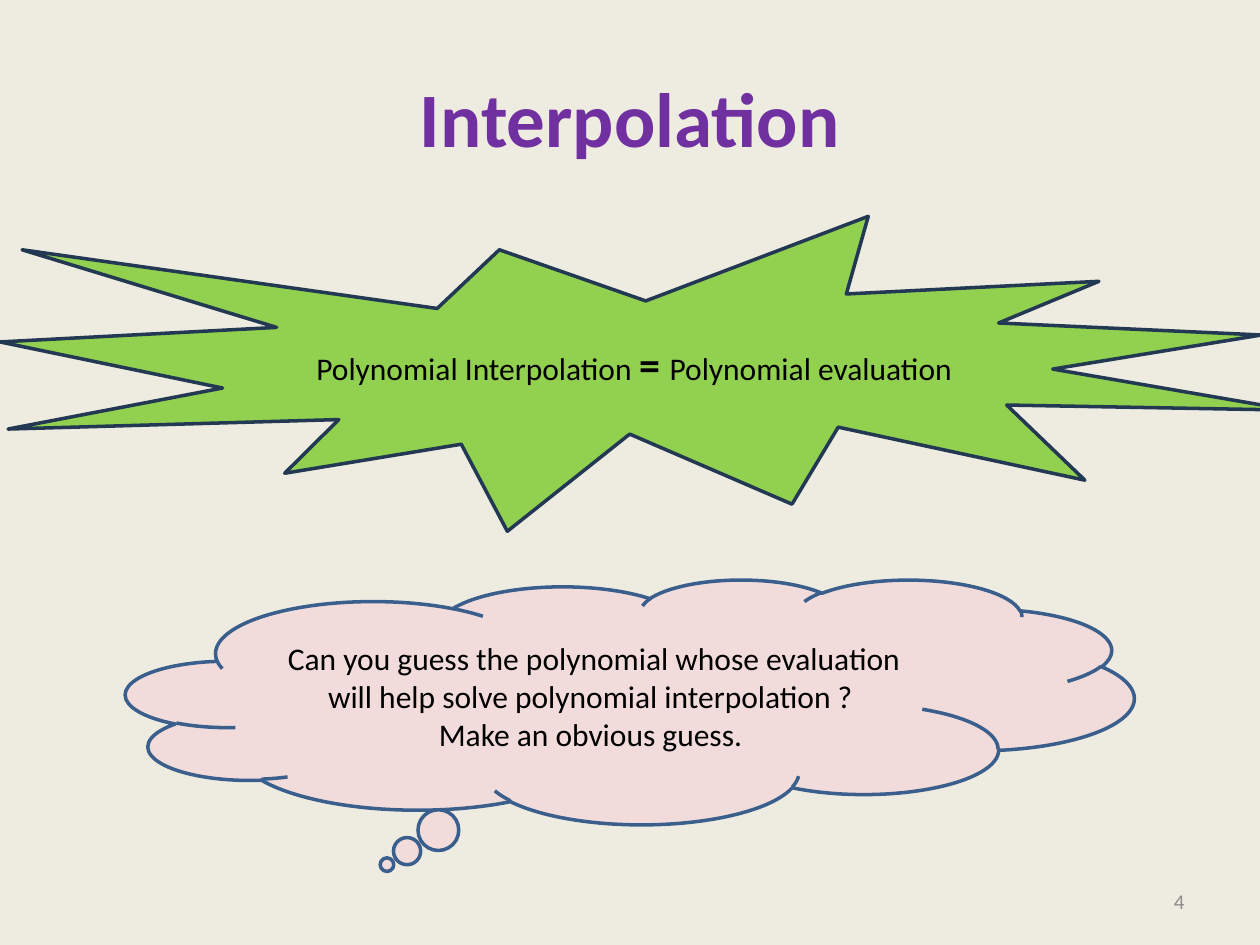
"""Builds the Interpolation slide with a burst statement and a thought cloud."""
from pptx import Presentation
from pptx import util as u
from pptx.dml.color import RGBColor
from pptx.enum import shapes, text

WIDTH, HEIGHT = u.Inches(10), u.Inches(7.5)
BODY = {"name": "Calibri", "size": u.Pt(18), "bold": False}
TITLE = {"name": "Calibri", "size": u.Pt(44), "bold": True}
EQUALS = {"name": "Calibri", "size": u.Pt(24), "bold": True}
NUMBER = {"name": "Calibri", "size": u.Pt(12), "bold": False}


def colour(value):
    """Turn a hex string into a colour."""
    return RGBColor.from_string(value)


def box(left, top, width, height):
    """Turn shares of the slide's size into lengths."""
    return [round(share * side) for share, side in
            zip((left, top, width, height), (WIDTH, HEIGHT) * 2)]


def write(shape, paragraphs, ink, align=text.PP_ALIGN.CENTER):
    """Fill a shape with paragraphs, each a list of wording and format pairs."""
    frame = shape.text_frame
    frame.word_wrap = True
    frame.vertical_anchor = text.MSO_ANCHOR.MIDDLE
    for index, runs in enumerate(paragraphs):
        paragraph = frame.add_paragraph() if index else frame.paragraphs[0]
        paragraph.alignment = align
        for wording, values in runs:
            run = paragraph.add_run()
            run.text = wording
            for name, value in values.items():
                setattr(run.font, name, value)
            run.font.color.rgb = colour(ink)


def add_title(slide, area):
    """Place the heading in the title placeholder."""
    title = slide.shapes.title
    for name, value in zip(("left", "top", "width", "height"), area):
        setattr(title, name, value)
    write(title, [[("Interpolation", TITLE)]], "7030A0")


def add_bubble(slide, kind, area, fill, line, paragraphs):
    """Place an outlined preset shape holding centred text."""
    shape = slide.shapes.add_shape(kind, *area)
    shape.shadow.inherit = False
    shape.fill.solid()
    shape.fill.fore_color.rgb = colour(fill)
    shape.line.color.rgb = colour(line)
    shape.line.width = u.Pt(2)
    write(shape, paragraphs, "000000")
    return shape


def add_burst(slide, area):
    """Place the burst that equates interpolation and evaluation."""
    add_bubble(slide, shapes.MSO_SHAPE.EXPLOSION1, area, "92D050", "233953",
               [[("Polynomial Interpolation ", BODY), ("= ", EQUALS),
                 ("Polynomial evaluation ", BODY)]])


def add_cloud(slide, area):
    """Place the thought cloud with its question."""
    cloud = add_bubble(
        slide, shapes.MSO_SHAPE.CLOUD_CALLOUT, area, "F2DCDB", "3A5F8C",
        [[("Can you guess the polynomial whose evaluation will help solve "
           "polynomial interpolation ? ", BODY)],
         [("Make an obvious guess. ", BODY)]])
    for index, value in enumerate((-0.241, 0.666)):
        cloud.adjustments[index] = value


def add_number(slide, area):
    """Place the slide number."""
    write(slide.shapes.add_textbox(*area), [[("4", NUMBER)]], "8C8C8C",
          text.PP_ALIGN.RIGHT)


def main():
    """Build and save the presentation."""
    presentation = Presentation()
    presentation.slide_width, presentation.slide_height = WIDTH, HEIGHT
    slide = presentation.slides.add_slide(presentation.slide_layouts[5])
    slide.background.fill.solid()
    slide.background.fill.fore_color.rgb = colour("EEECE1")
    add_number(slide, box(0.717, 0.927, 0.233, 0.053))
    add_title(slide, box(0.05, 0.04, 0.9, 1 / 6))
    add_burst(slide, box(0, 0.229, 1.025, 1 / 3))
    add_cloud(slide, box(0.1, 0.613, 0.8, 0.259))
    presentation.save("out.pptx")


if __name__ == "__main__":
    main()
